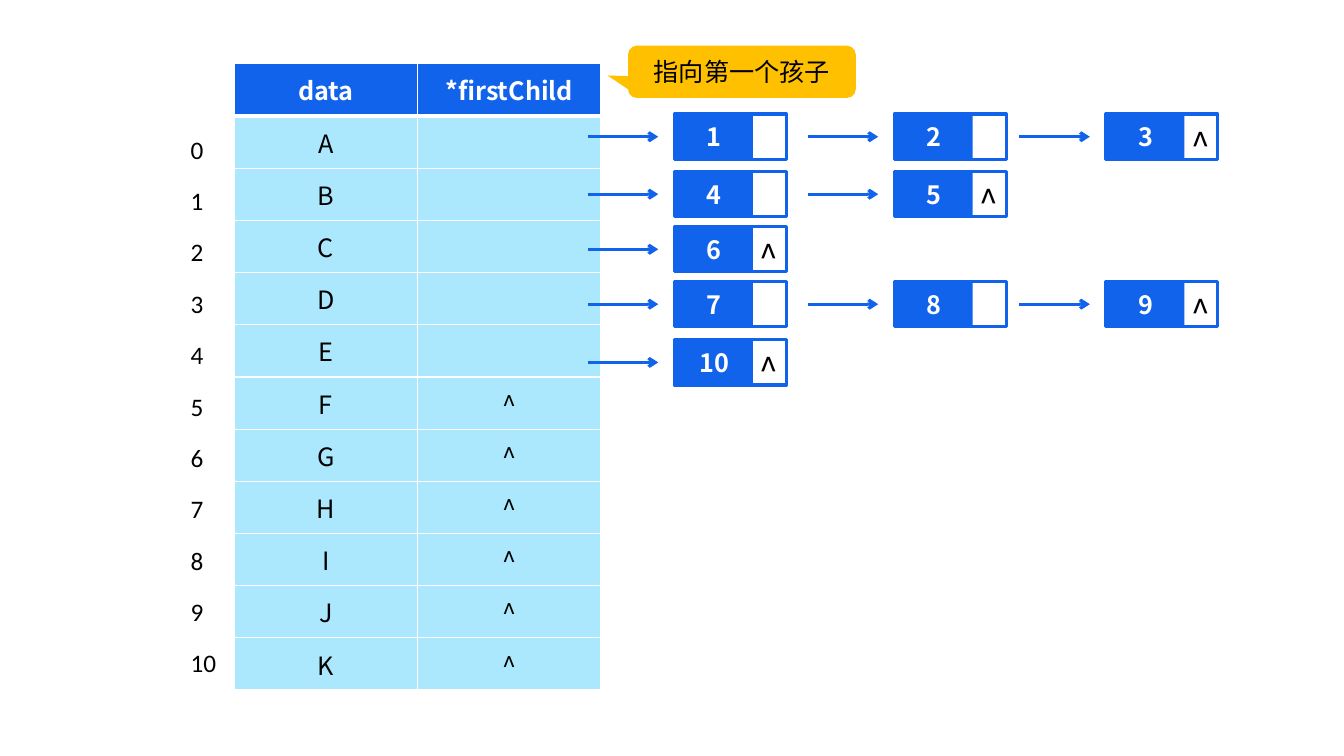
from lxml.etree import SubElement
from pptx import Presentation
from pptx.dml.color import RGBColor
from pptx.enum.shapes import MSO_CONNECTOR, MSO_SHAPE
from pptx.enum.text import MSO_ANCHOR, MSO_AUTO_SIZE, PP_ALIGN
from pptx.oxml.ns import qn
from pptx.util import Pt

COLORS = {"blue": "1163EB", "pale": "ABE8FD", "amber": "FFC000",
          "white": "FFFFFF", "black": "000000"}
CJK = "Noto Sans CJK SC"
NODE_LEFTS = [481.7, 638.8, 790]
NODE_W, NODE_H = 80, 32.4
CHAINS = [(81.4, [1, 2, 3]), (122.4, [4, 5]), (161.8, [6]),
          (201, [7, 8, 9]), (242.6, [10])]


def rgb(name):
    """Return the named colour."""
    return RGBColor.from_string(COLORS[name])


def put_text(tf, text, size=18, font=CJK, color="black", bold=False,
             align=PP_ALIGN.CENTER, spacing=None):
    """Fill a text frame, one paragraph per line of text."""
    for i, line in enumerate(text.split("\n")):
        p = tf.add_paragraph() if i else tf.paragraphs[0]
        p.alignment = align
        p.line_spacing = spacing
        r = p.add_run()
        r.text = line
        r.font.size = Pt(size)
        r.font.name = font
        r.font.bold = bold
        r.font.color.rgb = rgb(color)
        SubElement(r.font._element, qn("a:ea"), typeface=font)


def add_box(shapes, kind, x, y, w, h, fill=None, line=None):
    """Add a preset shape with an optional fill and outline."""
    sp = shapes.add_shape(kind, Pt(x), Pt(y), Pt(w), Pt(h))
    sp.shadow.inherit = False
    if fill:
        sp.fill.solid()
        sp.fill.fore_color.rgb = rgb(fill)
    else:
        sp.fill.background()
    if line:
        sp.line.color.rgb = rgb(line)
        sp.line.width = Pt(2.25)
    else:
        sp.line.fill.background()
    sp.text_frame.vertical_anchor = MSO_ANCHOR.MIDDLE
    return sp


def add_label(s, text, x, y, w, h, wrap=True, **fmt):
    """Add a left-aligned text box."""
    tf = s.shapes.add_textbox(Pt(x), Pt(y), Pt(w), Pt(h)).text_frame
    tf.word_wrap = wrap
    tf.auto_size = MSO_AUTO_SIZE.SHAPE_TO_FIT_TEXT
    put_text(tf, text, align=PP_ALIGN.LEFT, **fmt)


def add_arrow(s, x, y, length=50.4):
    """Add a horizontal arrow pointing right."""
    c = s.shapes.add_connector(MSO_CONNECTOR.STRAIGHT,
                               Pt(x), Pt(y), Pt(x + length), Pt(y))
    c.line.color.rgb = rgb("blue")
    c.line.width = Pt(2.25)
    sp_pr = c._element.spPr
    SubElement(sp_pr.find(qn("a:ln")), qn("a:tailEnd"), type="arrow")
    SubElement(sp_pr, qn("a:effectLst"))


def add_node(s, x, y, number):
    """Add a list node: a numbered cell beside a pointer cell."""
    shapes = s.shapes.add_group_shape().shapes
    add_box(shapes, MSO_SHAPE.RECTANGLE, x, y, NODE_W, NODE_H, line="blue")
    sp = add_box(shapes, MSO_SHAPE.RECTANGLE, x + 0.7, y, 55.4, NODE_H, fill="blue")
    put_text(sp.text_frame, str(number), color="white", bold=True)


def add_chain(s, y, numbers):
    """Add one linked list of children, closed by a null mark."""
    for x, number in zip(NODE_LEFTS, numbers):
        add_arrow(s, x - 61.9, y + 16.3)
        add_node(s, x, y, number)
    add_label(s, "^", x + 54, y + 3.3, 25.9, 36, size=24)


def style_cell(cell, fill, top=1, bottom=1):
    """Set the fill, white borders and anchor of a table cell."""
    tc_pr = cell._tc.get_or_add_tcPr()
    for side, width in zip("LRTB", (1, 1, top, bottom)):
        ln = SubElement(tc_pr, qn(f"a:ln{side}"), w=str(Pt(width)))
        color = SubElement(ln, qn("a:solidFill"))
        SubElement(color, qn("a:srgbClr"), val=COLORS["white"])
    cell.fill.solid()
    cell.fill.fore_color.rgb = rgb(fill)
    cell.vertical_anchor = MSO_ANCHOR.MIDDLE


def add_node_table(s):
    """Add the table of data and first-child pointers."""
    rows = [("data", "*firstChild")]
    rows += [(name, "" if name in "ABCDE" else "^") for name in "ABCDEFGHIJK"]
    table = s.shapes.add_table(len(rows), 2, Pt(167.3), Pt(45.6),
                               Pt(262), Pt(447.6)).table
    for row in table.rows:
        row.height = Pt(37.3)
    for i, row in enumerate(rows):
        for j, text in enumerate(row):
            cell = table.cell(i, j)
            style_cell(cell, "pale" if i else "blue",
                       top=3 if i == 1 else 1, bottom=1 if i else 3)
            if text:
                put_text(cell.text_frame, text, bold=i == 0,
                         color="black" if i else "white")


def add_callout(s):
    """Add the callout explaining the pointer column."""
    sp = add_box(s.shapes, MSO_SHAPE.ROUNDED_RECTANGULAR_CALLOUT,
                 448.6, 32.6, 162.7, 37.4, fill="amber")
    for i, value in enumerate((-0.59, 0.07, 0.17)):
        sp.adjustments[i] = value
    put_text(sp.text_frame, "指向第一个孩子")


def main():
    """Build the child-list representation slide."""
    prs = Presentation()
    prs.slide_width, prs.slide_height = Pt(960), Pt(540)
    s = prs.slides.add_slide(prs.slide_layouts[6])
    add_node_table(s)
    add_label(s, "\n".join(map(str, range(11))), 129, 77, 34.6, 414.7,
              wrap=False, font="Calibri", spacing=1.7)
    add_callout(s)
    for y, numbers in CHAINS:
        add_chain(s, y, numbers)
    prs.save("out.pptx")


if __name__ == "__main__":
    main()
